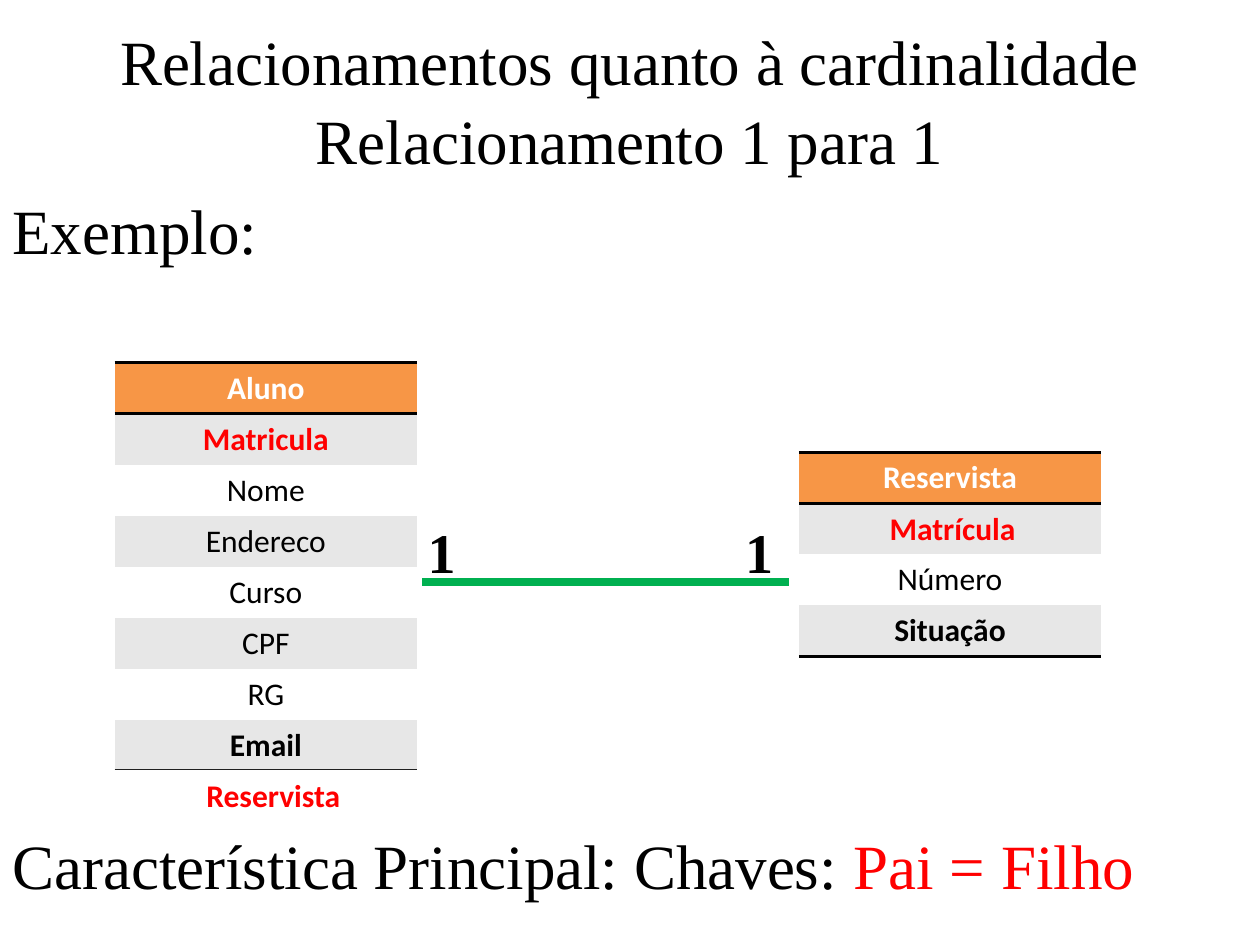
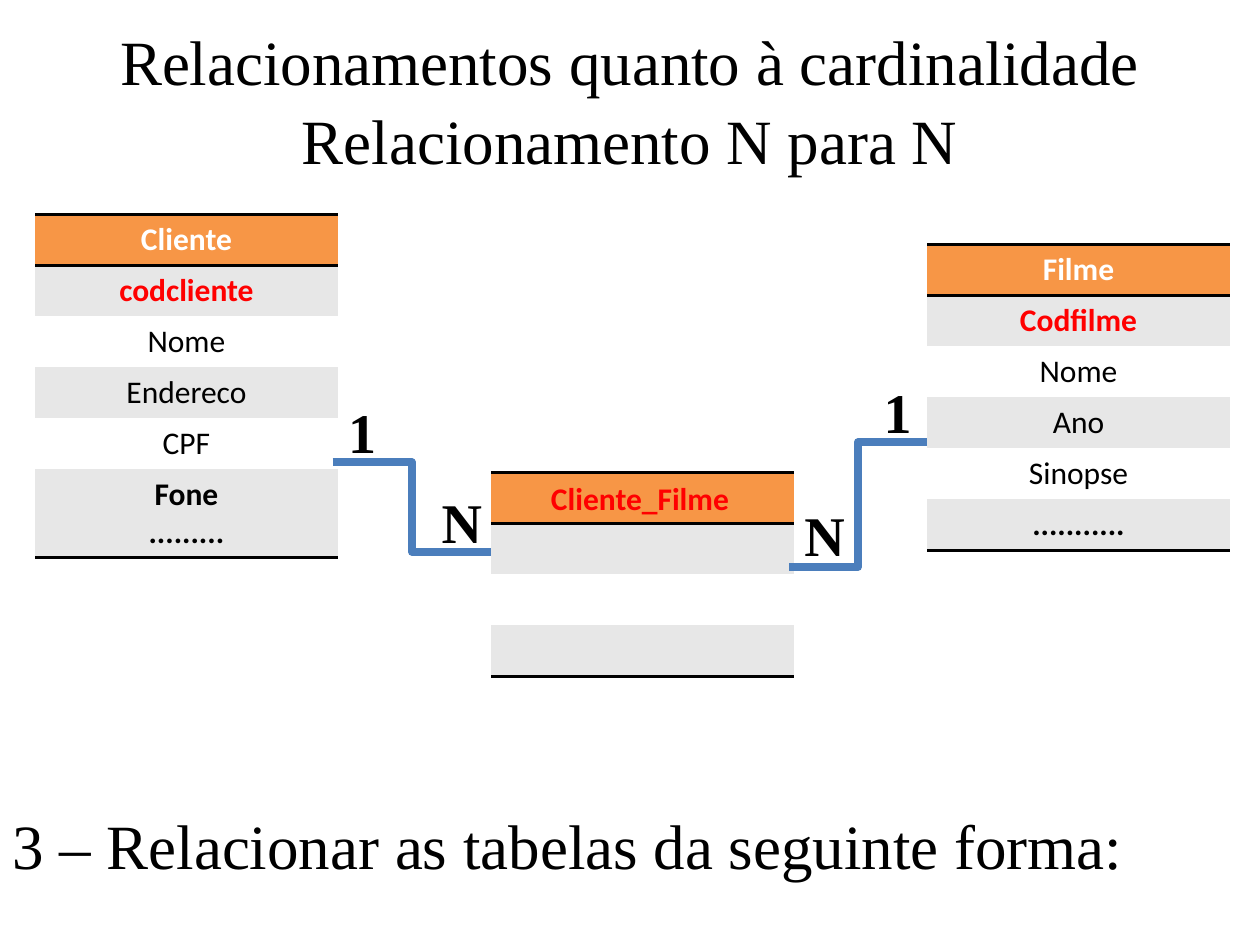
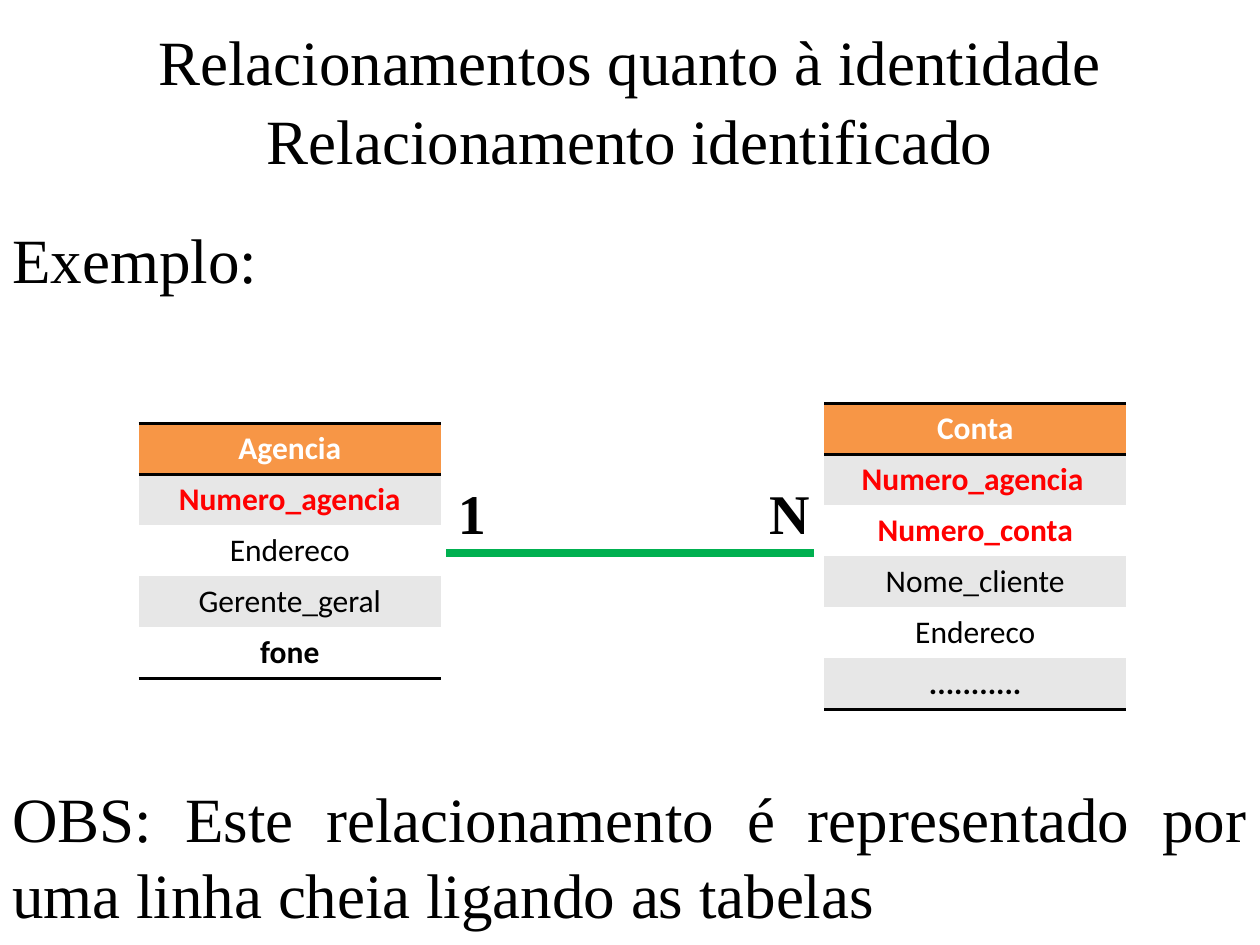
import pptx
import pptx.dml.color
import pptx.enum.shapes
import pptx.enum.text
import pptx.oxml
import pptx.oxml.ns
import pptx.util
from pptx.util import Inches

SERIF, SANS = "Times New Roman", "Calibri"
BLACK, WHITE, RED = "000000", "FFFFFF", "FF0000"
ORANGE, GRAY, GREEN, BLUE = "F79646", "E7E7E7", "00B050", "4B7EBC"
WIDE, HIGH = 10, 7.5
COL, ROW = 2.4, 0.81 / 2
PLAIN = "{2D5ABB26-0587-4C30-8999-92F81FD0307C}"
ALIGN = pptx.enum.text.PP_ALIGN
LINK = pptx.enum.shapes.MSO_CONNECTOR


def color(code):
    return pptx.dml.color.RGBColor.from_string(code)


def style(frame, size, font, tint=BLACK, bold=False, align=ALIGN.CENTER):
    for para in frame.paragraphs:
        para.alignment = align
        for run in para.runs:
            run.font.size = pptx.util.Pt(size)
            run.font.name = font
            run.font.bold = bold
            run.font.color.rgb = color(tint)


def label(slide, text, left, top, width, height, *look, **more):
    """Add a wrapped text box; the look is passed on to style."""
    box = slide.shapes.add_textbox(*map(Inches, (left, top, width, height)))
    frame = box.text_frame
    frame.word_wrap = True
    frame.auto_size = pptx.enum.text.MSO_AUTO_SIZE.SHAPE_TO_FIT_TEXT
    frame.text = text
    style(frame, *look, **more)
    return box


def line(slide, text, top, align=ALIGN.LEFT, height=0.71):
    """Add a line of large text across the slide."""
    return label(slide, text, 0, top, WIDE, height, 36, SERIF, align=align)


def head(slide, theme, kind):
    line(slide, theme, 0.13, ALIGN.CENTER)
    line(slide, kind, 0.76, ALIGN.CENTER)


def mark(slide, text, left, top):
    """Add the count at one end of a link."""
    label(slide, text, left, top, 0.79, 0.64, 32, SERIF, bold=True)


def key(slide, text, left, top, width):
    """Add a red key name laid over a table."""
    return label(slide, text, left, top, width, 0.4, 18, SANS, RED, bold=True)


def border(cell, *sides):
    props = cell._tc.get_or_add_tcPr()
    for spot, side in enumerate(sides):
        rule = pptx.oxml.parse_xml(
            f'<a:{side} {pptx.oxml.ns.nsdecls("a")} w="25400"><a:solidFill>'
            f'<a:srgbClr val="{BLACK}"/></a:solidFill></a:{side}>')
        props.insert(spot, rule)


def table(slide, left, top, names, keys=1):
    """Add an entity: a title row, its key rows, then plain fields."""
    count = len(names)
    shape = slide.shapes.add_table(
        count, 1, Inches(left), Inches(top), Inches(COL), Inches(ROW * count))
    grid = shape.table
    grid.first_row = grid.horz_banding = False
    grid._tbl.tblPr.find(pptx.oxml.ns.qn("a:tableStyleId")).text = PLAIN
    last = count - 1
    for row, name in enumerate(names):
        cell = grid.cell(row, 0)
        cell.text_frame.text = name
        fill = ORANGE if row == 0 else GRAY if row % 2 else WHITE
        tint = WHITE if row == 0 else RED if row <= keys else BLACK
        style(cell.text_frame, 18, SANS, tint, row <= keys or row == last)
        cell.fill.solid()
        cell.fill.fore_color.rgb = color(fill)
        if row == 0:
            border(cell, "lnT", "lnB")
        elif row == last:
            border(cell, "lnB")


def link(slide, start, end, tint=GREEN, kind=LINK.STRAIGHT):
    wire = slide.shapes.add_connector(kind, *map(Inches, start + end))
    wire.line.color.rgb = color(tint)
    wire.line.width = pptx.util.Pt(4.5)
    wire._element.spPr.append(pptx.oxml.parse_xml(
        f'<a:effectLst {pptx.oxml.ns.nsdecls("a")}/>'))


def one_one(slide):
    head(slide, "Relacionamentos quanto à cardinalidade",
         "Relacionamento 1 para 1")
    line(slide, "Exemplo:", 1.47)
    table(slide, 0.91, 2.88, ["Aluno", "Matricula", "Nome", "Endereco",
                              "Curso", "CPF", "RG", "Email"])
    table(slide, 6.34, 3.59, ["Reservista", "", "Número", "Situação"])
    extra = key(slide, "Reservista", 0.91, 6.11, 2.52)
    extra.fill.solid()
    extra.fill.fore_color.rgb = color(WHITE)
    link(slide, (3.35, 4.62), (6.26, 4.62))
    mark(slide, "1", 5.63, 4.06)
    key(slide, "Matrícula", 6.34, 3.99, 2.44)
    mark(slide, "1", 3.11, 4.06)
    note = line(slide, "Característica Principal: Chaves: ", 6.51)
    para = note.text_frame.paragraphs[0]
    para.add_run().text = "Pai = Filho"
    style(note.text_frame, 36, SERIF, align=ALIGN.LEFT)
    para.runs[1].font.color.rgb = color(RED)


def many_many(slide):
    head(slide, "Relacionamentos quanto à cardinalidade",
         "Relacionamento N para N")
    line(slide, "3 – Relacionar as tabelas da seguinte forma:", 6.35)
    table(slide, 0.28, 1.7, ["Cliente", "codcliente", "Nome", "Endereco",
                             "CPF", "Fone\n........."])
    table(slide, 7.36, 1.94, ["Filme", "Codfilme", "Nome", "Ano",
                              "Sinopse", "..........."])
    table(slide, 3.9, 3.75, [""] * 4)
    key(slide, "Cliente_Filme", 3.9, 3.75, 2.36)
    link(slide, (2.64, 3.67), (3.9, 4.38), BLUE, LINK.ELBOW)
    link(slide, (7.36, 3.51), (6.26, 4.5), BLUE, LINK.ELBOW)
    for text, left, top in (("1", 2.48, 3.11), ("1", 6.73, 2.95),
                            ("N", 3.27, 3.82), ("N", 6.15, 3.92)):
        mark(slide, text, left, top)


def strong(slide):
    """Build the slide on the identifying relationship."""
    head(slide, "Relacionamentos quanto à identidade",
         "Relacionamento identificado")
    line(slide, "Exemplo:", 1.7)
    table(slide, 1.1, 3.36, ["Agencia", "Numero_agencia", "Endereco",
                             "Gerente_geral", "fone"])
    table(slide, 6.54, 3.2, ["Conta", "", "Numero_conta", "Nome_cliente",
                             "Endereco", "..........."], keys=2)
    link(slide, (3.54, 4.39), (6.46, 4.39))
    mark(slide, "N", 5.87, 3.75)
    mark(slide, "1", 3.35, 3.75)
    key(slide, "Numero_agencia", 6.5, 3.59, 2.44)
    line(slide, "OBS: Este relacionamento é representado por uma linha cheia "
         "ligando as tabelas", 6.14, ALIGN.JUSTIFY, 1.31)


def main():
    deck = pptx.Presentation()
    deck.slide_width, deck.slide_height = Inches(WIDE), Inches(HIGH)
    for build in (one_one, many_many, strong):
        build(deck.slides.add_slide(deck.slide_layouts[6]))
    deck.save("out.pptx")


if __name__ == "__main__":
    main()
